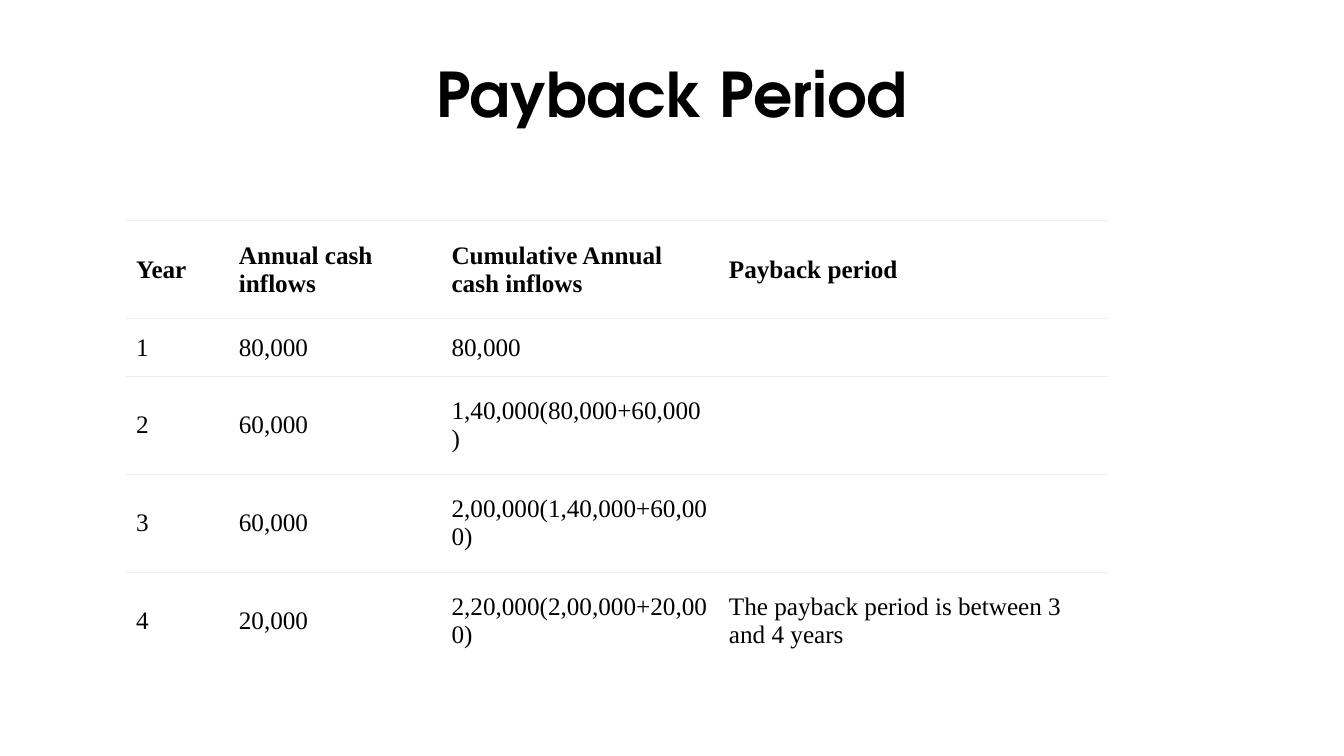
from lxml.etree import SubElement
from pptx import Presentation
from pptx.dml.color import RGBColor
from pptx.enum.text import MSO_ANCHOR, PP_ALIGN
from pptx.oxml import parse_xml
from pptx.oxml.ns import nsdecls, qn
from pptx.util import Cm, Pt

TITLE = "Payback Period"
ROWS = [
    ("Year", "Annual cash inflows", "Cumulative Annual cash inflows", "Payback period"),
    ("1", "80,000", "80,000", ""),
    ("2", "60,000", "1,40,000(80,000+60,000)", ""),
    ("3", "60,000", "2,00,000(1,40,000+60,000)", ""),
    ("4", "20,000", "2,20,000(2,00,000+20,000)",
     "The payback period is between 3 and 4 years"),
]
COLUMN_WIDTHS = (2.59, 5.36, 6.99, 9.8)
ROW_HEIGHTS = (2.47, 1.45, 2.47, 2.47, 2.47)

BLACK = RGBColor(0x00, 0x00, 0x00)
WHITE = RGBColor(0xFF, 0xFF, 0xFF)
RULE = RGBColor(0xEC, 0xEE, 0xF1)

TITLE_FONT = {"name": "TeX Gyre Adventor", "size": Pt(44), "bold": True}
HEAD_FONT = {"name": "Times New Roman", "size": Pt(18), "bold": True}
BODY_FONT = {**HEAD_FONT, "bold": False}
CELL_FORMAT = {
    "vertical_anchor": MSO_ANCHOR.MIDDLE,
    "margin_left": Cm(0.25), "margin_right": Cm(0.25),
    "margin_top": Cm(0.15), "margin_bottom": Cm(0.15),
}


def apply(target, values):
    for name, value in values.items():
        setattr(target, name, value)


def write(para, text, font):
    span = para.add_run()
    span.text = text
    apply(span.font, font)
    span.font.color.rgb = BLACK


def set_borders(cell, ruled_sides):
    """Rule the named sides (T, B) and clear the others."""
    properties = cell._tc.get_or_add_tcPr()
    for index, side in enumerate("LRTB"):
        line = parse_xml(f'<a:ln{side} {nsdecls("a")} w="{Pt(0.75)}"/>')
        if side in ruled_sides:
            fill = SubElement(line, qn("a:solidFill"))
            SubElement(fill, qn("a:srgbClr"), val=str(RULE))
        else:
            SubElement(line, qn("a:noFill"))
        properties.insert(index, line)


def add_title(page):
    box = page.shapes.add_textbox(Cm(1.7), Cm(0.76), Cm(30.48), Cm(3.18))
    apply(box.text_frame, {"word_wrap": True, "vertical_anchor": MSO_ANCHOR.MIDDLE})
    para = box.text_frame.paragraphs[0]
    para.alignment = PP_ALIGN.CENTER
    write(para, TITLE, TITLE_FONT)


def add_cash_table(page):
    table = page.shapes.add_table(
        len(ROWS), len(COLUMN_WIDTHS), Cm(3.18), Cm(5.56),
        Cm(sum(COLUMN_WIDTHS)), Cm(sum(ROW_HEIGHTS))).table
    apply(table, {"first_row": False, "horz_banding": False})
    for column, width in zip(table.columns, COLUMN_WIDTHS):
        column.width = Cm(width)
    for row, height in zip(table.rows, ROW_HEIGHTS):
        row.height = Cm(height)
    for r, texts in enumerate(ROWS):
        for c, text in enumerate(texts):
            cell = table.cell(r, c)
            apply(cell, CELL_FORMAT)
            cell.fill.solid()
            cell.fill.fore_color.rgb = WHITE
            set_borders(cell, "T" if r == len(ROWS) - 1 else "TB")
            if text:
                write(cell.text_frame.paragraphs[0], text,
                      BODY_FONT if r else HEAD_FONT)


def main():
    deck = Presentation()
    apply(deck, {"slide_width": Cm(33.87), "slide_height": Cm(19.05)})
    page = deck.slides.add_slide(deck.slide_layouts[6])
    add_title(page)
    add_cash_table(page)
    deck.save("out.pptx")


if __name__ == "__main__":
    main()
